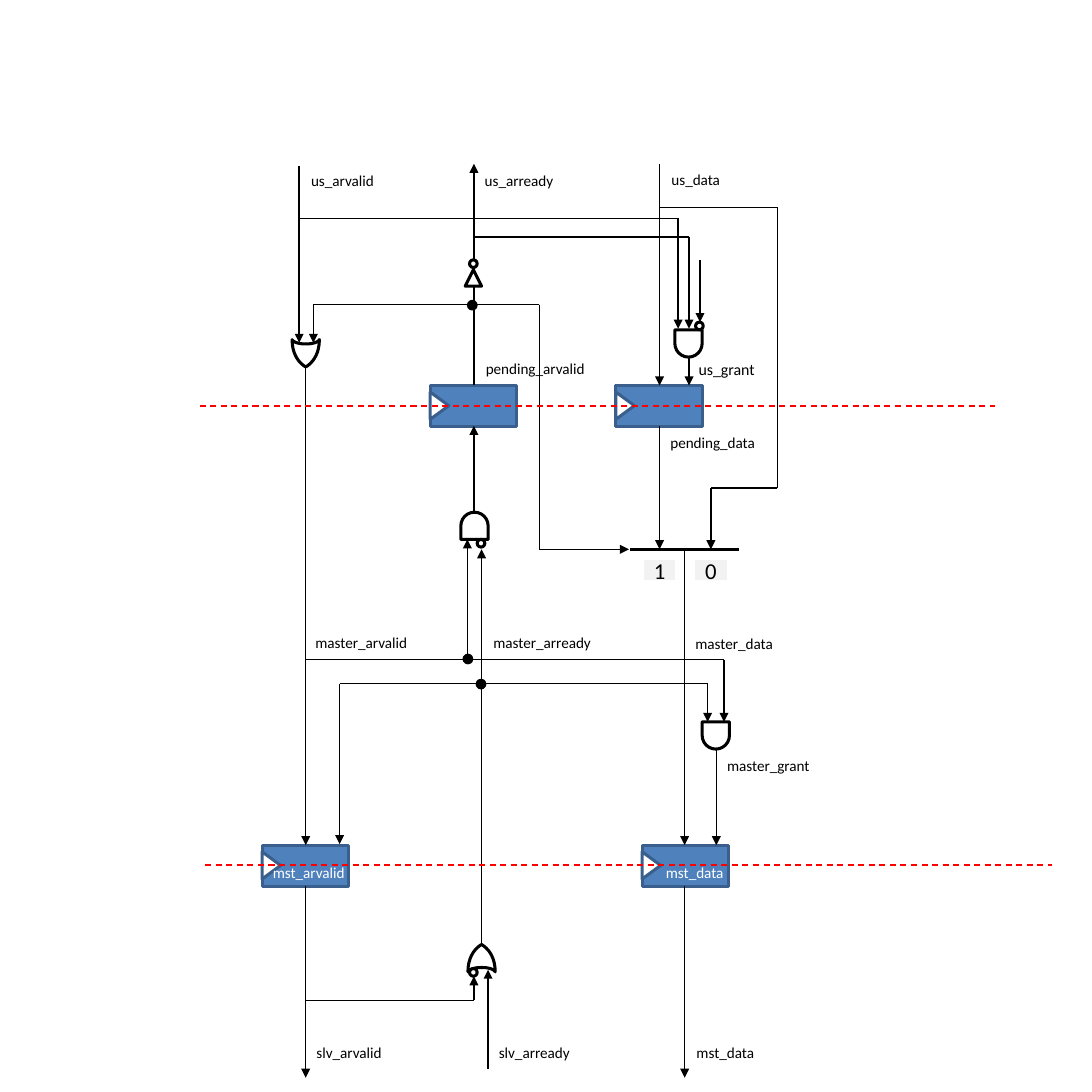
from itertools import pairwise
from lxml.etree import SubElement as SubEl
from pptx import Presentation
from pptx.dml.color import RGBColor as RGB
from pptx.enum.dml import MSO_LINE as Dash
from pptx.enum.shapes import MSO_CONNECTOR as Conn, MSO_SHAPE as Geo
from pptx.enum.text import MSO_ANCHOR as Anchor, MSO_AUTO_SIZE as Auto, PP_ALIGN as Align
from pptx.oxml.ns import qn
from pptx.util import Cm, Pt

BLACK, WHITE, RED = "000000", "FFFFFF", "FF0000"
BLUE, NAVY, GREY = "4F81BD", "3A5F8C", "F2F2F2"
GATE, DOT = 0.25, 0.07

# Each register: left, top
REGS = [(2.4, 7.74), (5.88, 7.74), (5.64, 3.53), (3.94, 3.53)]

# Wires that end in an arrow
ARROWS = [
    [(2.74, 1.52), (2.74, 3.14)],
    [(2.8, 3.36), (2.8, 7.74)],
    [(2.8, 8.11), (2.8, 9.87)],
    [(2.8, 9.16), (4.34, 9.16), (4.34, 8.94)],
    [(4.47, 9.79), (4.47, 8.88)],
    [(4.41, 8.65), (4.41, 5.03)],
    [(4.28, 6.04), (4.28, 4.94)],
    [(4.34, 4.69), (4.34, 3.9)],
    [(4.34, 3.53), (4.34, 1.5)],
    [(4.94, 2.79), (2.87, 2.79), (2.87, 3.14)],
    [(4.94, 2.79), (4.94, 5.03), (5.76, 5.03)],
    [(6.04, 1.5), (6.04, 3.53)],
    [(6.04, 3.9), (6.04, 5.03)],
    [(6.04, 1.9), (7.12, 1.9), (7.12, 4.47), (6.51, 4.47), (6.51, 5.03)],
    [(2.74, 2), (6.21, 2), (6.21, 3.01)],
    [(4.34, 2.17), (6.31, 2.17), (6.31, 3.01)],
    [(6.41, 2.38), (6.41, 2.95)],
    [(6.31, 3.27), (6.31, 3.53)],
    [(2.8, 6.04), (6.63, 6.04), (6.63, 6.61)],
    [(4.41, 6.26), (6.48, 6.26), (6.48, 6.61)],
    [(4.41, 6.26), (3.11, 6.26), (3.11, 7.73)],
    [(6.27, 5.03), (6.27, 7.74)],
    [(6.56, 6.86), (6.56, 7.74)],
    [(6.27, 8.11), (6.27, 9.87)],
]

# Each label: text, left, top, width
LABELS = [
    ("us_arvalid", 2.75, 1.52, 0.78),
    ("us_arready", 4.34, 1.52, 0.84),
    ("us_data", 6.05, 1.51, 0.65),
    ("pending_arvalid", 4.35, 3.24, 1.12),
    ("pending_data", 6.04, 3.92, 0.99),
    ("master_arvalid", 2.79, 5.75, 1.05),
    ("master_arready", 4.42, 5.75, 1.11),
    ("master_data", 6.27, 5.76, 0.93),
    ("master_grant", 6.56, 6.88, 0.98),
    ("slv_arvalid", 2.8, 9.51, 0.8),
    ("slv_arready", 4.47, 9.51, 0.86),
    ("mst_data", 6.28, 9.51, 0.74),
]


def unit(val):
    """One grid unit of the drawing is 2.54 cm."""
    return Cm(val * 2.54)


def tint(hue):
    return RGB.from_string(hue)


def paint(item, fill, line):
    item.shadow.inherit = False
    if fill:
        item.fill.solid()
        item.fill.fore_color.rgb = tint(fill)
    else:
        item.fill.background()
    item.line.color.rgb = tint(line)
    item.line.width = Pt(2)


def shape(slide, geo, x, y, w, h, fill=WHITE, line=BLACK, turn=0):
    item = slide.shapes.add_shape(geo, *map(unit, (x, y, w, h)))
    paint(item, fill, line)
    item.rotation = turn
    return item


def write(frame, words, size=10, hue=BLACK, align=Align.LEFT):
    par = frame.paragraphs[0]
    par.alignment = align
    run = par.add_run()
    run.text = words
    run.font.name = "Calibri"
    run.font.size = Pt(size)
    run.font.color.rgb = tint(hue)


def label(slide, words, x, y, w, h=0.27, **form):
    box = slide.shapes.add_textbox(*map(unit, (x, y, w, h)))
    box.text_frame.word_wrap = False
    box.text_frame.auto_size = Auto.SHAPE_TO_FIT_TEXT
    write(box.text_frame, words, **form)


def line(slide, start, end, hue=BLACK, width=1, dash=None, arrow=False):
    item = slide.shapes.add_connector(Conn.STRAIGHT, *map(unit, start + end))
    item.line.color.rgb = tint(hue)
    item.line.width = Pt(width)
    if dash:
        item.line.dash_style = dash
    if arrow:
        SubEl(item.line._get_or_add_ln(), qn("a:tailEnd"), type="triangle")
    SubEl(item._element.spPr, qn("a:effectLst"))


def wire(slide, points):
    for start, end in pairwise(points):
        line(slide, start, end, arrow=end == points[-1])


def reg(slide, x, y):
    shape(slide, Geo.RECTANGLE, x, y, 0.79, 0.38, BLUE, NAVY)
    shape(slide, Geo.ISOSCELES_TRIANGLE, x - 0.04, y + 0.1, 0.25, 0.17, WHITE, NAVY, 90)


def and_gate(slide, x, y, turn=90, fill=None):
    shape(slide, Geo.FLOWCHART_DELAY, x, y, GATE, GATE, fill, turn=turn)


def curve(a, b, c, d, steps=12):
    for step in range(steps + 1):
        t = step / steps
        s = 1 - t
        yield tuple(s**3 * i + 3 * s * s * t * j + 3 * s * t * t * k + t**3 * m
                    for i, j, k, m in zip(a, b, c, d))


def or_gate(slide, x, y, way):
    """Tip at x, y; the body runs down for way 1 and up for way -1."""
    tip, foot, back = (0, 0), (0.125, 0.25), (0, 0.21)
    half = [*curve(tip, tip, (0.125, 0.06), foot), *curve(foot, foot, (0.11, 0.21), back)]
    rim = half + [(-i, j) for i, j in reversed(half)]
    rim = [(unit(x + i), unit(y + way * j)) for i, j in rim]
    path = slide.shapes.build_freeform(*rim[0])
    path.add_line_segments(rim[1:], close=True)
    paint(path.convert_to_shape(), WHITE, BLACK)


def dot(slide, x, y, fill=WHITE):
    shape(slide, Geo.OVAL, x, y, DOT, DOT, fill)


def main():
    deck = Presentation()
    deck.slide_width = deck.slide_height = unit(10)
    slide = deck.slides.add_slide(deck.slide_layouts[6])

    # Registers and gates
    for x, y in REGS:
        reg(slide, x, y)
    and_gate(slide, 6.43, 6.61)
    and_gate(slide, 6.18, 3.02)
    and_gate(slide, 4.22, 4.69, 270, WHITE)
    or_gate(slide, 4.41, 8.65, 1)
    or_gate(slide, 2.8, 3.36, -1)

    # Wires
    for points in ARROWS:
        wire(slide, points)

    # Clock edges
    for left, right, y in [(1.83, 9.11, 3.72), (1.88, 9.63, 7.92)]:
        line(slide, (left, y), (right, y), RED, dash=Dash.DASH)

    # Inverter, negated inputs and joints
    shape(slide, Geo.ISOSCELES_TRIANGLE, 4.26, 2.47, 0.15, 0.15)
    for x, y in [(4.3, 2.38), (4.3, 8.87), (4.37, 4.94), (6.37, 2.95)]:
        dot(slide, x, y)
    for x, y in [(4.37, 6.23), (4.25, 6), (4.29, 2.76)]:
        dot(slide, x, y, BLACK)

    # Selector
    line(slide, (5.77, 5.03), (6.77, 5.03), width=2)
    for digit, x in [("1", 5.88), ("0", 6.35)]:
        frame = shape(slide, Geo.RECTANGLE, x, 5.11, 0.32, 0.22, GREY, WHITE).text_frame
        frame.margin_left = frame.margin_right = 0
        frame.vertical_anchor = Anchor.MIDDLE
        write(frame, digit, size=15, align=Align.CENTER)

    # Labels
    for item in LABELS:
        label(slide, *item)
    label(slide, "us_grant", 6.3, 3.24, 0.73, 0.28, size=10.5)
    label(slide, "mst_arvalid", 2.4, 7.86, 0.87, hue=WHITE)
    label(slide, "mst_data", 6, 7.86, 0.74, hue=WHITE)

    deck.save("out.pptx")


if __name__ == "__main__":
    main()
